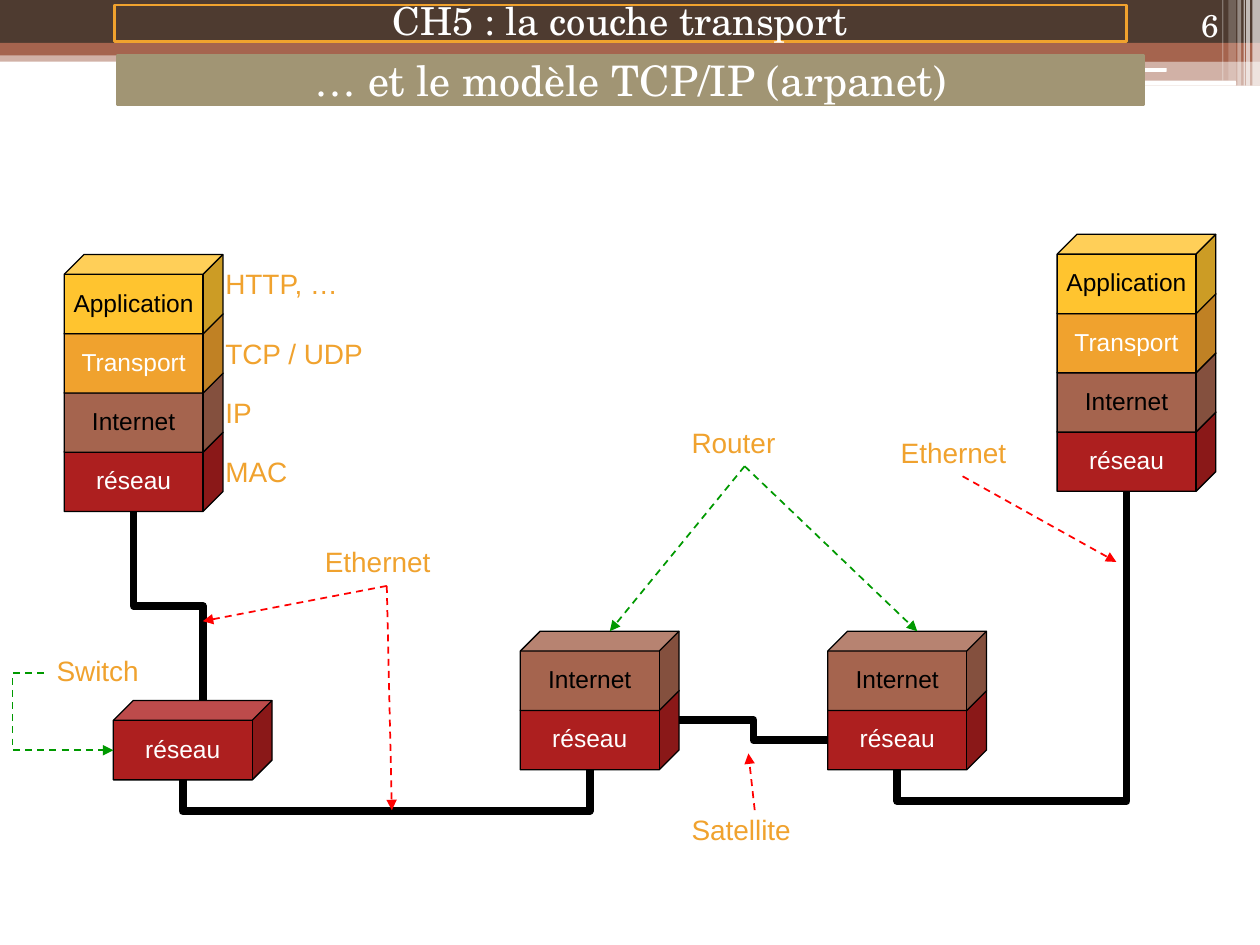
from dataclasses import dataclass
from lxml import etree
from pptx import Presentation
from pptx.dml.color import RGBColor
from pptx.enum.dml import MSO_LINE
from pptx.enum.shapes import MSO_CONNECTOR, MSO_SHAPE
from pptx.enum.text import MSO_ANCHOR, MSO_AUTO_SIZE, PP_ALIGN
from pptx.oxml.ns import qn
from pptx.util import Inches, Pt

RECT, ROUND, CUBE = MSO_SHAPE.RECTANGLE, MSO_SHAPE.ROUNDED_RECTANGLE, MSO_SHAPE.CUBE
LINE, ELBOW = MSO_CONNECTOR.STRAIGHT, MSO_CONNECTOR.ELBOW
MID, LOW, TOP = MSO_ANCHOR.MIDDLE, MSO_ANCHOR.BOTTOM, MSO_ANCHOR.TOP
LEFT, CENTER, RIGHT = PP_ALIGN.LEFT, PP_ALIGN.CENTER, PP_ALIGN.RIGHT


@dataclass(frozen=True)
class Theme:
    white: str = "FFFFFF"
    black: str = "000000"
    dark: str = "4E3B30"
    brown: str = "A5644E"
    khaki: str = "A19574"
    orange: str = "F0A22E"
    yellow: str = "FFC42F"
    brick: str = "AD1F1F"
    red: str = "FF0000"
    green: str = "009900"
    sans: str = "Arial"
    serif: str = "TeX Gyre Schola"
    layer: int = 14
    note: int = 16
    page: int = 18
    chapter: int = 22
    title: int = 24


T = Theme()
LAYERS = {
    "Application": (T.yellow, T.black),
    "Transport": (T.orange, T.white),
    "Internet": (T.brown, T.black),
    "réseau": (T.brick, T.white),
}
HOST = list(LAYERS)
ROUTER = HOST[2:]
SWITCH = HOST[3:]
STEP, WIDE, TALL, DEPTH = 0.47, 1.26, 0.63, 0.16


@dataclass
class Stack:
    x: float
    y: float
    count: int

    @property
    def base(self):
        return self.y + STEP * (self.count - 1)

    @property
    def top(self):
        return self.x + (WIDE + DEPTH) / 2, self.y

    @property
    def foot(self):
        return self.x + (WIDE - DEPTH) / 2, self.base + TALL

    @property
    def left(self):
        return self.x, self.base + (TALL + DEPTH) / 2

    @property
    def right(self):
        return self.x + WIDE, self.base + (TALL - DEPTH) / 2


def write(shape, text, font, size, color, align=LEFT, anchor=TOP, wrap=True, space=1.0):
    frame = shape.text_frame
    frame.word_wrap = wrap
    frame.vertical_anchor = anchor
    para = frame.paragraphs[0]
    para.text = text
    para.alignment = align
    para.line_spacing = space
    para.font.name = font
    para.font.size = Pt(size)
    para.font.color.rgb = RGBColor.from_string(color)


def block(shapes, kind, box, fill=None, line=None, width=1.5, alpha=None, adj=None):
    shape = shapes.add_shape(kind, *map(Inches, box))
    shape.shadow.inherit = False
    if adj is not None:
        shape.adjustments[0] = adj
    if fill:
        shape.fill.solid()
        shape.fill.fore_color.rgb = RGBColor.from_string(fill)
    else:
        shape.fill.background()
    if line:
        shape.line.color.rgb = RGBColor.from_string(line)
        shape.line.width = Pt(width)
    else:
        shape.line.fill.background()
    if alpha:
        tone = shape.fill._xPr.find(".//" + qn("a:srgbClr"))
        etree.SubElement(tone, qn("a:alpha")).set("val", str(alpha * 1000))
    return shape


def link(shapes, kind, start, end, color, width):
    line = shapes.add_connector(kind, *map(Inches, (*start, *end)))
    line.line.color.rgb = RGBColor.from_string(color)
    line.line.width = Pt(width)
    etree.SubElement(line._element.spPr, qn("a:effectLst"))
    return line


def bend(line, ratio):
    guides = line._element.spPr.find(qn("a:prstGeom")).get_or_add_avLst()
    guide = etree.SubElement(guides, qn("a:gd"))
    guide.set("name", "adj1")
    guide.set("fmla", f"val {round(ratio * 100000)}")


def dash(line):
    line.line.dash_style = MSO_LINE.DASH
    etree.SubElement(line.line._ln, qn("a:tailEnd")).set("type", "triangle")


def arrow(shapes, start, end, color):
    dash(link(shapes, LINE, start, end, color, 1))


def drop(shapes, start, end, level):
    (ax, ay), (bx, by) = start, end
    mx, my = (ax + bx) / 2, (ay + by) / 2
    dx, dy = (bx - ax) / 2, (by - ay) / 2
    line = link(shapes, ELBOW, (mx - dy, my + dx), (mx + dy, my - dx), T.black, 4.5)
    line._element.spPr.find(qn("a:xfrm")).set("rot", "5400000")
    bend(line, (level - ay) / (by - ay))


def label(shapes, text, x, y, width):
    box = shapes.add_textbox(*map(Inches, (x, y, width, 0.34)))
    write(box, text, T.sans, T.note, T.orange, space=0.9)
    box.text_frame.auto_size = MSO_AUTO_SIZE.SHAPE_TO_FIT_TEXT


def stack(shapes, x, y, names):
    group = shapes.add_group_shape().shapes
    for row, name in reversed(list(enumerate(names))):
        fill, ink = LAYERS[name]
        cube = block(group, CUBE, (x, y + STEP * row, WIDE, TALL), fill, T.black, 0.75, adj=0.25)
        write(cube, name, T.sans, T.layer, ink, CENTER, MID, False, 0.9)
    return Stack(x, y, len(names))


def band(shapes, x, y, width):
    half = x + 5.92
    for left, top, wide, high, fill, alpha in (
        (x, 0.4, width, 0.09, T.brown, 50),
        (x, 0, width, 0.34, T.dark, None),
        (x, 0.34, width, 0.1, T.brown, None),
        (half, 0.39, width - 5.92, 0.1, T.brown, None),
        (half, 0.48, width - 5.92, 0.2, T.brown, 50),
    ):
        block(shapes, RECT, (left, y + top, wide, high), fill, alpha=alpha)
    for left, top, wide, high in ((5.91, 0.54, 3.35, 0.03), (8.06, 0.64, 1.75, 0.04)):
        block(shapes, ROUND, (x + left, y + top, wide, high), T.white, adj=0.17)
    for left, wide, high, alpha in (
        (9.94, 0.06, 0.68, 65), (9.89, 0.03, 0.68, 65), (9.87, 0.01, 0.68, 60),
        (9.82, 0.03, 0.68, 40), (9.75, 0.06, 0.64, 20), (9.7, 0.01, 0.64, 30),
    ):
        block(shapes, RECT, (x + left, y, wide, high), T.white, alpha=alpha)


def heading(shapes, x, y):
    title = block(shapes, ROUND, (x + 0.93, y + 0.44, 8.15, 0.39), T.khaki, T.khaki, adj=0)
    write(title, "… et le modèle TCP/IP (arpanet)", T.serif, T.title, T.white, CENTER, MID)
    chapter = block(shapes, RECT, (x + 0.91, y + 0.04, 8.03, 0.29), line=T.orange)
    write(chapter, "CH5 : la couche transport", T.serif, T.chapter, T.white, CENTER, MID, space=0.9)
    page = shapes.add_textbox(*map(Inches, (x + 8.94, y, 0.83, 0.4)))
    write(page, "6", T.serif, T.page, T.white, RIGHT, LOW)


def network(shapes, x, y):
    client = stack(shapes, x + 0.41, y + 0.16, HOST)
    server = stack(shapes, x + 8.29, y, HOST)
    near = stack(shapes, x + 4.03, y + 3.15, ROUTER)
    far = stack(shapes, x + 6.47, y + 3.15, ROUTER)
    switch = stack(shapes, x + 0.8, y + 3.7, SWITCH)

    drop(shapes, client.foot, switch.top, (client.foot[1] + switch.top[1]) / 2)
    drop(shapes, switch.foot, near.foot, switch.foot[1] + 0.25)
    drop(shapes, far.foot, server.foot, far.foot[1] + 0.25)
    link(shapes, ELBOW, near.right, far.left, T.black, 4.5)

    for text, gap in (("HTTP, …", 0.08), ("TCP / UDP", 0.63), ("IP", 1.1), ("MAC", 1.57)):
        label(shapes, text, client.x + 1.18, client.y + gap, 1.34)
    for text, left, top, wide in (
        ("Ethernet", 2.38, 2.44, 1.18), ("Ethernet", 6.95, 1.58, 1.18),
        ("Satellite", 5.29, 4.57, 1.18), ("Switch", 0.25, 3.31, 0.95),
        ("Router", 5.29, 1.5, 1.02),
    ):
        label(shapes, text, x + left, y + top, wide)
    for start, end in (
        ((2.97, 2.79), (3.01, 4.57)), ((2.97, 2.79), (1.51, 3.07)),
        ((5.89, 4.57), (5.84, 4.12)), ((7.54, 1.92), (8.76, 2.6)),
    ):
        arrow(shapes, (x + start[0], y + start[1]), (x + end[0], y + end[1]), T.red)
    for router in (near, far):
        arrow(shapes, (x + 5.81, y + 1.84), router.top, T.green)
    hook = link(shapes, ELBOW, (x + 0.25, y + 3.48), switch.left, T.green, 1)
    bend(hook, -0.25 / (switch.x - x - 0.25))
    dash(hook)


def main():
    deck = Presentation()
    deck.slide_width, deck.slide_height = Inches(10), Inches(7.5)
    shapes = deck.slides.add_slide(deck.slide_layouts[6]).shapes
    band(shapes, 0, 0, 10)
    network(shapes, 0.1, 1.86)
    heading(shapes, 0, 0)
    deck.save("out.pptx")


if __name__ == "__main__":
    main()
